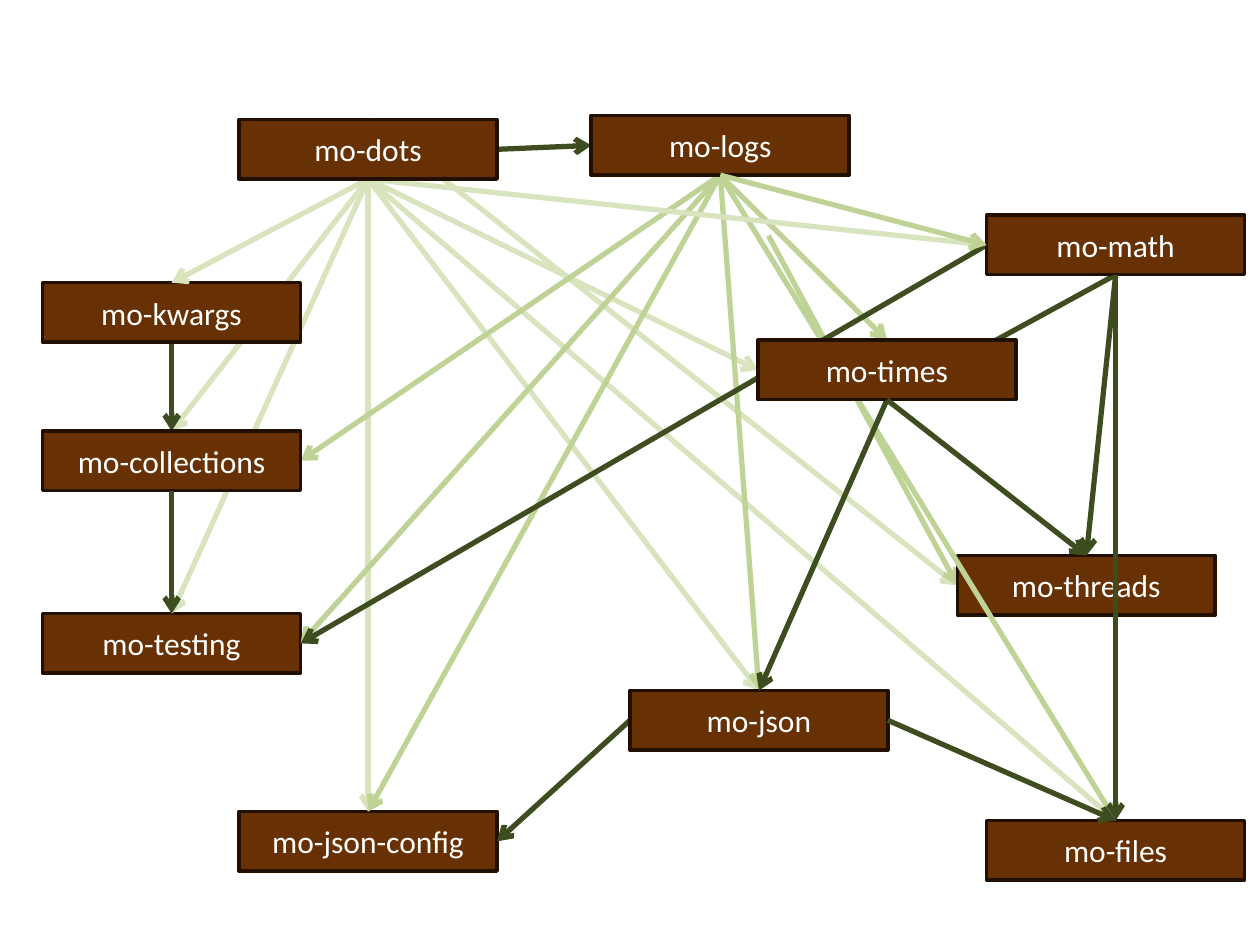
from pptx import Presentation
from pptx import util as u
from pptx.dml.color import RGBColor
from pptx.enum import shapes, text
from pptx.oxml import parse_xml
from pptx.oxml.ns import nsdecls

BROWN = RGBColor(0x68, 0x31, 0x04)
EDGE = RGBColor(0x21, 0x0F, 0x01)
WHITE = RGBColor(0xFF, 0xFF, 0xFF)
PALE = RGBColor(0xD7, 0xE4, 0xBD)
MID = RGBColor(0xBE, 0xD3, 0x95)
DARK = RGBColor(0x3E, 0x4D, 0x1F)

WIDE, HIGH = 5.2, 1.2
SIDES = {"top": (0.5, 0), "left": (0, 0.5), "bottom": (0.5, 1), "right": (1, 0.5)}

PLACES = {
    "dots": (4.82, 2.41), "logs": (11.92, 2.33), "math": (19.89, 4.34),
    "kwargs": (0.86, 5.7), "times": (15.28, 6.86),
    "collections": (0.86, 8.69), "threads": (19.3, 11.2),
    "testing": (0.86, 12.37), "json": (12.7, 13.92),
    "json-config": (4.82, 16.36), "files": (19.89, 16.54),
}

LAYERS = [
    "dots top threads left", "logs free threads left",
    "threads", "testing", "json-config", "files",
    "dots right logs left", "dots bottom json top",
    "json left json-config right", "logs bottom times top",
    "dots bottom times left", "math bottom times bottom",
    "dots bottom files top", "logs bottom files top",
    "dots bottom collections top", "kwargs bottom collections top",
    "logs bottom json top", "dots bottom json-config top",
    "logs bottom json-config top", "logs bottom testing right",
    "dots bottom testing top", "kwargs", "json",
    "dots bottom kwargs top", "logs bottom collections right",
    "collections", "dots bottom math left",
    "collections bottom testing top", "math left testing right",
    "times bottom json top", "logs", "dots", "math",
    "logs bottom math left", "math bottom files top",
    "json right files top", "times", "math bottom threads top",
    "times bottom threads top",
]


class Graph:
    font, size = "Calibri", u.Pt(18)
    tints = {"dots": PALE, "logs": MID}

    def __init__(self, slide):
        self.slide = slide

    def spot(self, name, side):
        if side == "free":
            return u.Cm(15.49), u.Cm(4.75)
        left, top = PLACES[name]
        across, down = SIDES[side]
        return u.Cm(left + across * WIDE), u.Cm(top + down * HIGH)

    def box(self, name):
        left, top = PLACES[name]
        box = self.slide.shapes.add_shape(
            shapes.MSO_SHAPE.RECTANGLE,
            u.Cm(left), u.Cm(top), u.Cm(WIDE), u.Cm(HIGH))
        box.shadow.inherit = False
        box.fill.solid()
        box.fill.fore_color.rgb = BROWN
        box.line.color.rgb = EDGE
        box.line.width = u.Pt(2)
        frame = box.text_frame
        frame.text = "mo-" + name
        frame.vertical_anchor = text.MSO_ANCHOR.MIDDLE
        line = frame.paragraphs[0]
        line.alignment = text.PP_ALIGN.CENTER
        font = line.runs[0].font
        font.name, font.size = self.font, self.size
        font.color.rgb = WHITE

    def link(self, start, out, end, into):
        link = self.slide.shapes.add_connector(
            shapes.MSO_CONNECTOR.STRAIGHT,
            *self.spot(start, out), *self.spot(end, into))
        tint = DARK if end == "logs" else self.tints.get(start, DARK)
        link.line.color.rgb = tint
        link.line.width = u.Pt(3)
        link.line._get_or_add_ln().append(
            parse_xml(f'<a:tailEnd {nsdecls("a")} type="arrow"/>'))
        link._element.spPr.append(
            parse_xml(f'<a:effectLst {nsdecls("a")}/>'))


deck = Presentation()
deck.slide_width, deck.slide_height = u.Cm(25.4), u.Cm(19.05)
graph = Graph(deck.slides.add_slide(deck.slide_layouts[6]))
for layer in LAYERS:
    parts = layer.split()
    if len(parts) == 1:
        graph.box(layer)
    else:
        graph.link(*parts)
deck.save("out.pptx")
